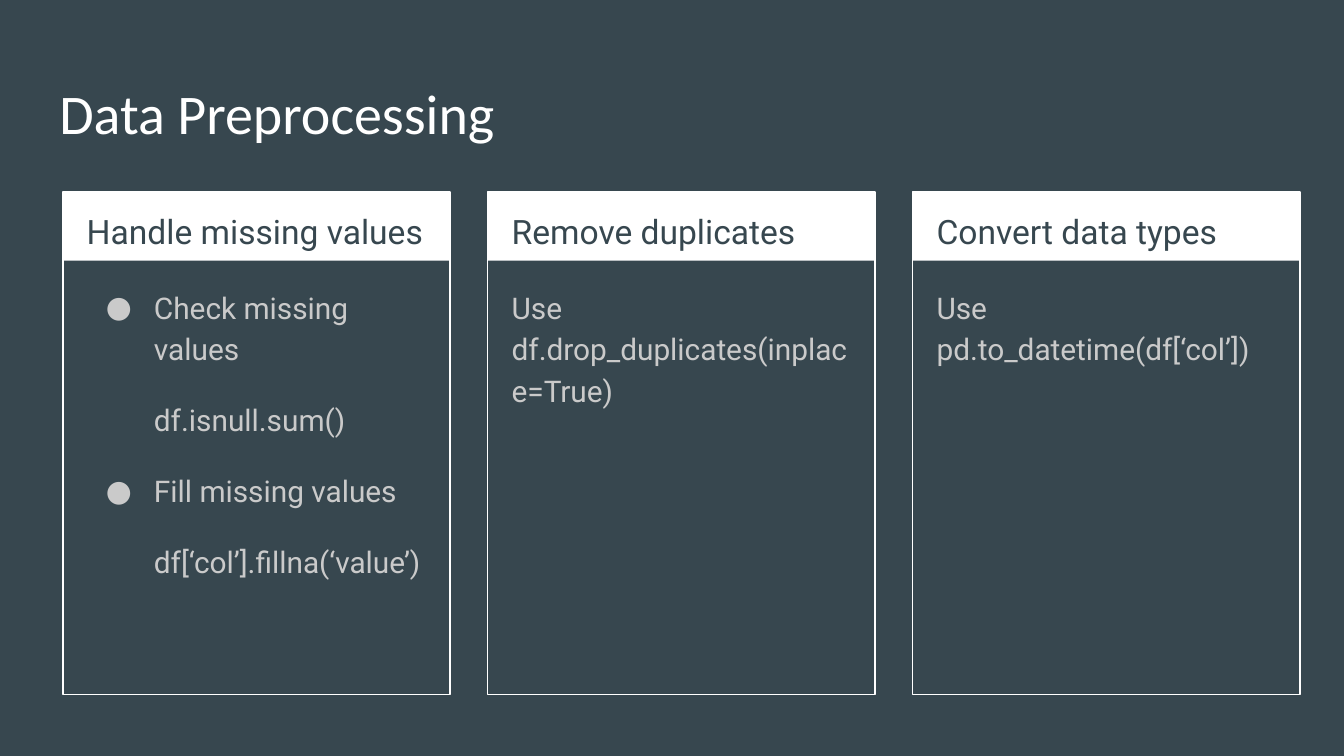
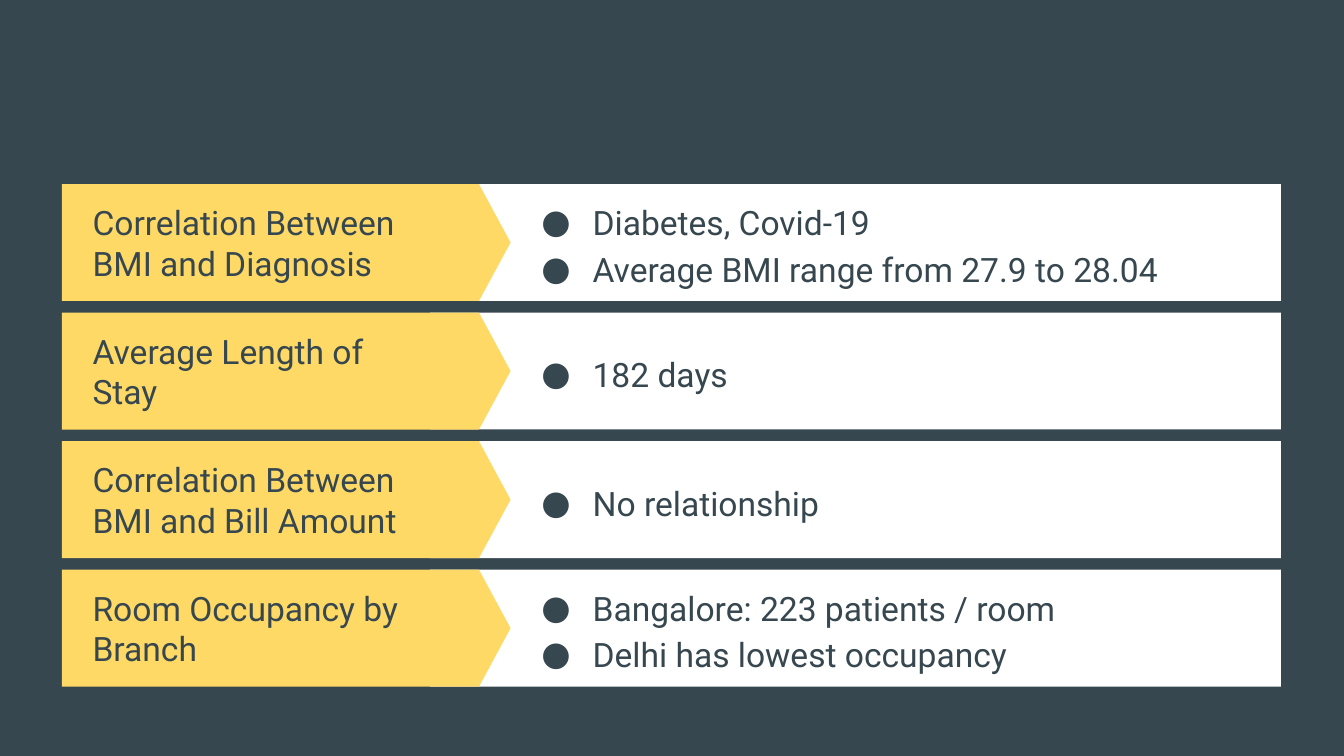
from lxml.etree import SubElement
from pptx import Presentation
from pptx.dml.color import RGBColor
from pptx.enum.shapes import MSO_SHAPE as Preset
from pptx.enum.text import MSO_ANCHOR as Anchor, MSO_AUTO_SIZE as AutoSize, PP_ALIGN as Align
from pptx.oxml.ns import qn
from pptx.util import Cm, Pt

SLATE, WHITE, GREY, YELLOW = "37474F", "FFFFFF", "CACACA", "FFD966"
COMPARISON_LAYOUT = 4

FRAME = {"auto_size": AutoSize.NONE, "word_wrap": True,
         "margin_left": Cm(0.25), "margin_right": Cm(0.25),
         "margin_top": Cm(0.25), "margin_bottom": Cm(0.25)}
TITLE = {"name": "Calibri", "size": Pt(30), "bold": False}
HEADING = {"name": "Roboto", "size": Pt(18), "bold": False}
DETAIL = {"name": "Roboto", "size": Pt(16), "bold": False}
TIGHT = {"alignment": Align.LEFT, "line_spacing": 1.0, "space_before": Pt(0), "space_after": Pt(0)}
LOOSE = {**TIGHT, "line_spacing": 1.15}
SPACED = {**LOOSE, "space_before": Pt(16)}
CLOSING = {**LOOSE, "space_after": Pt(16)}

STEPS = [
    ("Handle missing values", [
        ("Check missing values", LOOSE, 0.91),
        ("df.isnull.sum()", SPACED, 0),
        ("Fill missing values", SPACED, 0.91),
        ("df[‘col’].fillna(‘value’)", {**SPACED, "space_after": Pt(16)}, 0)]),
    ("Remove duplicates", [("Use df.drop_duplicates(inplace=True)", CLOSING, None)]),
    ("Convert data types", [("Use pd.to_datetime(df[‘col’])", CLOSING, None)]),
]
FINDINGS = [
    ("Correlation Between BMI and Diagnosis",
     ["Diabetes, Covid-19", "Average BMI range from 27.9 to 28.04"]),
    ("Average Length of Stay", ["182 days"]),
    ("Correlation Between BMI and Bill Amount", ["No relationship"]),
    ("Room Occupancy by Branch",
     ["Bangalore: 223 patients / room", "Delhi has lowest occupancy"]),
]


def apply(target, settings):
    for attribute, value in settings.items():
        setattr(target, attribute, value)


def paint(target, colour):
    target.solid()
    target.fore_color.rgb = RGBColor.from_string(colour)


def set_indent(paragraph, hanging):
    properties = paragraph._p.get_or_add_pPr()
    properties.set("marL", str(0 if hanging is None else Cm(1.27)))
    properties.set("indent", str(-Cm(hanging or 0)))
    if hanging:
        SubElement(properties, qn("a:buFont"), typeface="Roboto")
        SubElement(properties, qn("a:buChar"), char="●")
    else:
        SubElement(properties, qn("a:buNone"))


def write(holder, box, entries, font, colour, anchor=Anchor.TOP):
    apply(holder, dict(zip(("left", "top", "width", "height"), map(Cm, box))))
    frame = holder.text_frame
    apply(frame, {**FRAME, "vertical_anchor": anchor})
    for number, (wording, spacing, hanging) in enumerate(entries):
        paragraph = frame.add_paragraph() if number else frame.paragraphs[0]
        apply(paragraph, spacing)
        set_indent(paragraph, hanging)
        run = paragraph.add_run()
        run.text = wording
        apply(run.font, font)
        paint(run.font.fill, colour)


def add_block(group, preset, box, fill=None, outline=None):
    block = group.shapes.add_shape(preset, *map(Cm, box))
    block.shadow.inherit = False
    if fill:
        paint(block.fill, fill)
    else:
        block.fill.background()
    if outline:
        paint(block.line.fill, outline)
        block.line.width = Pt(0.75)
    else:
        block.line.fill.background()
    return block


def add_label(slide, box, wording, spacing, anchor=Anchor.TOP):
    label = slide.shapes.add_textbox(*map(Cm, box))
    write(label, box, [(wording, spacing, None)], HEADING, SLATE, anchor)


def add_list(slide, number, *content):
    body = slide.placeholders[number]
    slide.shapes._spTree.append(body._element)
    write(body, *content)


def drop_empty(slide):
    for placeholder in list(slide.placeholders):
        if not placeholder.text_frame.text:
            slide.shapes._spTree.remove(placeholder._element)


def add_step(slide, number, heading, entries):
    left, top, width = 1.19 + 8.03 * (number - 1), 3.63, 7.32
    card = slide.shapes.add_group_shape()
    add_block(card, Preset.RECTANGLE, (left, top, width, 1.3), fill=WHITE)
    add_block(card, Preset.RECTANGLE, (left, top, width, 9.5), outline=WHITE)
    add_label(slide, (left + 0.2, top, 6.93, 1.27), heading, LOOSE)
    add_list(slide, number, (left + 0.2, 5.13, 6.88, 7.77), entries, DETAIL, GREY)


def add_finding(slide, number, topic, results):
    top, height = 3.48 + 2.43 * (number - 1), 2.21
    band = slide.shapes.add_group_shape()
    add_block(band, Preset.RECTANGLE, (8.13, top, 16.08, height), fill=WHITE)
    arrow = add_block(band, Preset.PENTAGON, (1.17, top, 8.48, height), fill=YELLOW)
    arrow.adjustments[0] = 0.27
    add_label(slide, (1.5, top, 6.73, height), topic, TIGHT, Anchor.MIDDLE)
    entries = [(result, LOOSE, 0.97) for result in results]
    add_list(slide, number, (9.68, top, 14.2, height), entries, HEADING, SLATE, Anchor.MIDDLE)


def main():
    deck = Presentation()
    apply(deck, {"slide_width": Cm(25.4), "slide_height": Cm(14.29)})
    paint(deck.slide_master.background.fill, SLATE)
    layout = deck.slide_layouts[COMPARISON_LAYOUT]

    preprocessing = deck.slides.add_slide(layout)
    write(preprocessing.shapes.title, (0.87, 1.24, 23.67, 1.6),
          [("Data Preprocessing", TIGHT, None)], TITLE, WHITE)
    for number, step in enumerate(STEPS, 1):
        add_step(preprocessing, number, *step)

    insights = deck.slides.add_slide(layout)
    for number, finding in enumerate(FINDINGS, 1):
        add_finding(insights, number, *finding)

    for slide in deck.slides:
        drop_empty(slide)
    deck.save("out.pptx")


if __name__ == "__main__":
    main()
